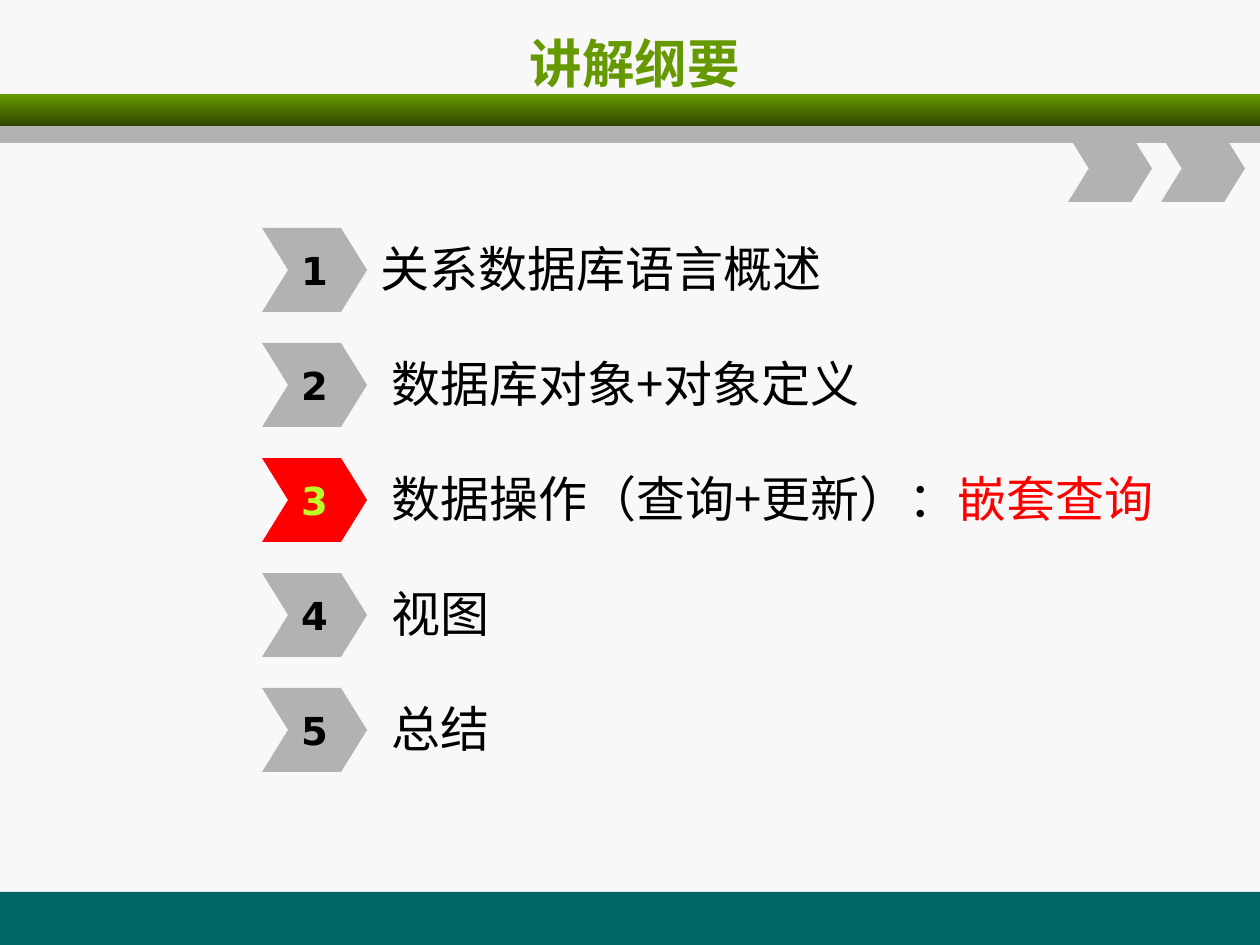
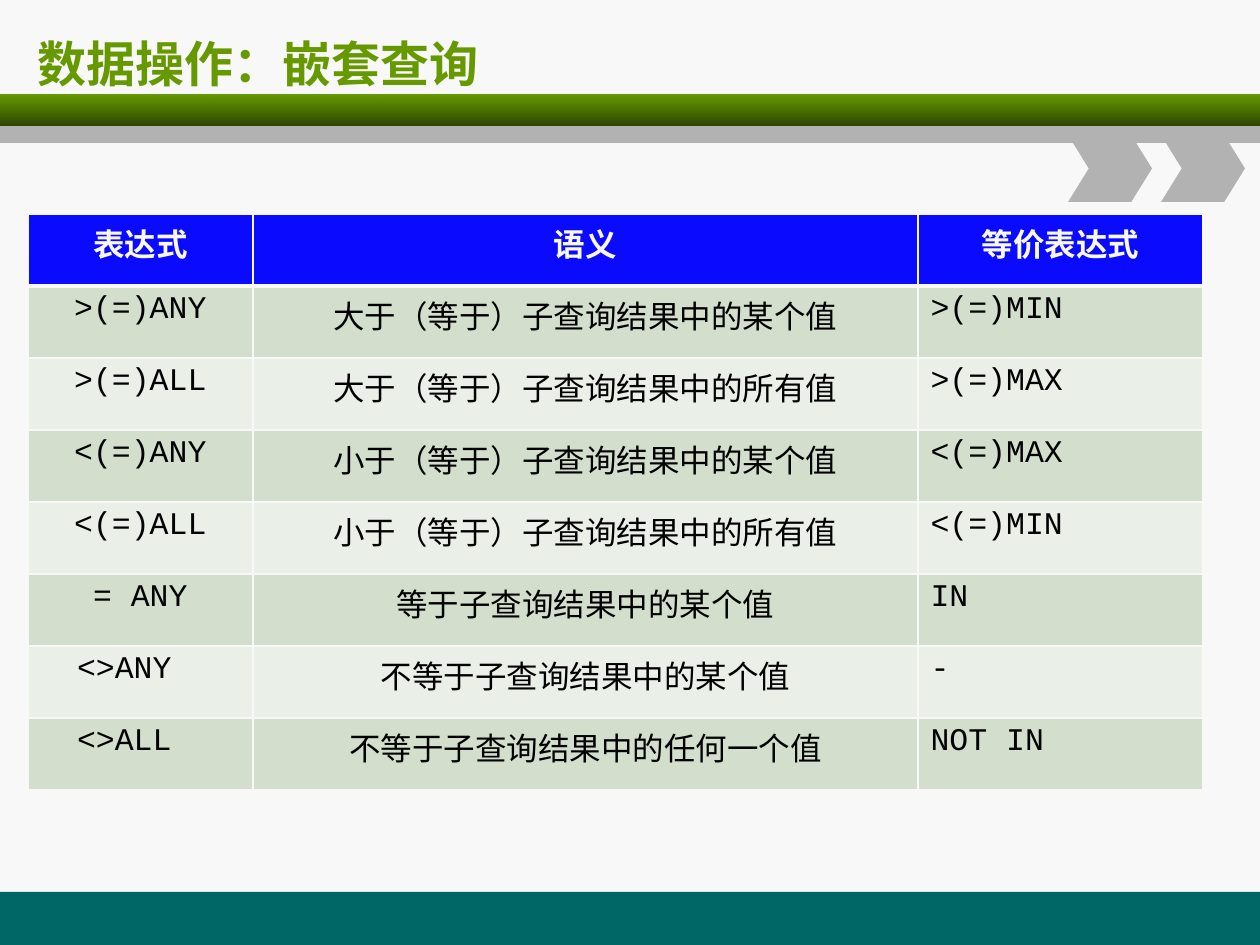
from dataclasses import dataclass

from lxml import etree
from pptx import Presentation
from pptx.dml.color import RGBColor
from pptx.enum.shapes import MSO_SHAPE
from pptx.enum.text import MSO_ANCHOR, PP_ALIGN
from pptx.oxml.ns import qn
from pptx.util import Emu, Pt

RECT, CHEVRON = MSO_SHAPE.RECTANGLE, MSO_SHAPE.CHEVRON
LEFT, CENTER = PP_ALIGN.LEFT, PP_ALIGN.CENTER
MIDDLE = MSO_ANCHOR.MIDDLE
EMU_PER_PX = 914400 / 126
SLIDE_W, SLIDE_H = 1260, 945
CJK, SANS, MONO = "Noto Sans CJK SC", "DejaVu Sans", "Courier New"
COLORS = {
    "paper": "F8F8F8", "green": "669900", "dark_green": "2F4700",
    "grey": "B2B2B2", "teal": "006666", "black": "000000",
    "red": "FF0000", "lime": "B8FF29", "header": "0A0AFF",
    "odd_row": "D3DECC", "even_row": "EAEFE7",
}


@dataclass(frozen=True)
class Box:
    left: int
    top: int
    width: int
    height: int

    def emu(self) -> tuple:
        return tuple(map(px, (self.left, self.top, self.width, self.height)))


@dataclass(frozen=True)
class TextStyle:
    size: int
    font: str
    color: str
    bold: bool = False


@dataclass(frozen=True)
class Band:
    kind: int
    box: Box
    color: str
    end_color: str = ""


@dataclass(frozen=True)
class AgendaItem:
    topic: str
    indent: int = 11
    focus: str = ""


@dataclass(frozen=True)
class Predicate:
    expression: str
    meaning: str
    equivalent: str
    shift: int = 0


BANDS = [
    Band(RECT, Box(0, 892, SLIDE_W, 53), "teal"),
    Band(RECT, Box(0, 94, SLIDE_W, 32), "green", "dark_green"),
    Band(RECT, Box(0, 126, SLIDE_W, 17), "grey"),
    *(Band(CHEVRON, Box(left, 135, 84, 67), "grey") for left in (1068, 1161)),
]
AGENDA = [
    AgendaItem("关系数据库语言概述", indent=0),
    AgendaItem("数据库对象+对象定义"),
    AgendaItem("数据操作（查询+更新）：", focus="嵌套查询"),
    AgendaItem("视图"),
    AgendaItem("总结"),
]
AGENDA_TOP, AGENDA_PITCH = 228, 115
HEADINGS = ("表达式", "语义", "等价表达式")
PREDICATES = [
    Predicate(">(=)ANY", "大于（等于）子查询结果中的某个值", ">(=)MIN"),
    Predicate(">(=)ALL", "大于（等于）子查询结果中的所有值", ">(=)MAX"),
    Predicate("<(=)ANY", "小于（等于）子查询结果中的某个值", "<(=)MAX"),
    Predicate("<(=)ALL", "小于（等于）子查询结果中的所有值", "<(=)MIN"),
    Predicate("= ANY", "等于子查询结果中的某个值", "IN"),
    Predicate("<>ANY", "不等于子查询结果中的某个值", "-", shift=32),
    Predicate("<>ALL", "不等于子查询结果中的任何一个值", "NOT IN", shift=32),
]
COLUMN_WIDTHS = (225, 665, 285)
ROW_HEIGHT = 72
CELL_MARGIN = 13


def px(length: int) -> Emu:
    return Emu(round(length * EMU_PER_PX))


def rgb(name: str) -> RGBColor:
    return RGBColor.from_string(COLORS[name])


def add_run(paragraph, text: str, style: TextStyle) -> None:
    run = paragraph.add_run()
    run.text = text
    font = run.font
    font.size, font.bold, font.name = Pt(style.size), style.bold, style.font
    font.color.rgb = rgb(style.color)
    east_asian = etree.Element(qn("a:ea"), typeface=CJK)
    run._r.get_or_add_rPr().find(qn("a:latin")).addnext(east_asian)


def add_plain_shape(slide, kind: int, box: Box, color: str):
    shape = slide.shapes.add_shape(kind, *box.emu())
    shape.shadow.inherit = False
    shape.fill.solid()
    shape.fill.fore_color.rgb = rgb(color)
    shape.line.fill.background()
    if kind == CHEVRON:
        shape.adjustments[0] = 0.31
    return shape


def dress_layout(layout, slide) -> None:
    """Draw the bands on a slide, then move them to the layout all slides share."""
    layout.background.fill.solid()
    layout.background.fill.fore_color.rgb = rgb("paper")
    for number, band in enumerate(BANDS):
        shape = add_plain_shape(slide, band.kind, band.box, band.color)
        if band.end_color:
            shape.fill.gradient()
            shape.fill.gradient_angle = 270
            for stop, color in zip(shape.fill.gradient_stops,
                                   (band.color, band.end_color)):
                stop.color.rgb = rgb(color)
        shape._element.nvSpPr.cNvPr.id = 100 + number
        layout.shapes._spTree.append(shape._element)


def set_title(slide, text: str, box: Box, style: TextStyle,
              alignment: int) -> None:
    title = slide.shapes.title
    title.left, title.top, title.width, title.height = box.emu()
    frame = title.text_frame
    frame.word_wrap = True
    frame.vertical_anchor = MIDDLE
    paragraph = frame.paragraphs[0]
    paragraph.alignment = alignment
    add_run(paragraph, text, style)


def add_agenda_item(slide, number: int, item: AgendaItem) -> None:
    top = AGENDA_TOP + (number - 1) * AGENDA_PITCH
    marker = add_plain_shape(slide, CHEVRON, Box(262, top, 105, 84),
                             "red" if item.focus else "grey")
    marker.text_frame.word_wrap = False
    marker.text_frame.vertical_anchor = MIDDLE
    digit = marker.text_frame.paragraphs[0]
    digit.alignment = CENTER
    add_run(digit, str(number),
            TextStyle(22, SANS, "lime" if item.focus else "black", True))

    label = slide.shapes.add_textbox(*Box(368, top + 3, 830, 73).emu())
    frame = label.text_frame
    frame.word_wrap = True
    frame.vertical_anchor = MIDDLE
    frame.margin_left = px(CELL_MARGIN + item.indent)
    paragraph = frame.paragraphs[0]
    add_run(paragraph, item.topic, TextStyle(28, CJK, "black"))
    if item.focus:
        add_run(paragraph, item.focus, TextStyle(28, CJK, "red"))


def set_borders(cell, top: int, bottom: int) -> None:
    properties = cell._tc.get_or_add_tcPr()
    for side, points in (("L", 1), ("R", 1), ("T", top), ("B", bottom)):
        line = etree.SubElement(properties, qn(f"a:ln{side}"), w=str(Pt(points)))
        fill = etree.SubElement(line, qn("a:solidFill"))
        etree.SubElement(fill, qn("a:srgbClr"), val=COLORS["paper"])


def fill_cell(cell, text: str, style: TextStyle, color: str,
              alignment: int) -> None:
    cell.fill.solid()
    cell.fill.fore_color.rgb = rgb(color)
    paragraph = cell.text_frame.paragraphs[0]
    paragraph.alignment = alignment
    add_run(paragraph, text, style)


def add_predicate_table(slide) -> None:
    row_count = len(PREDICATES) + 1
    box = Box(28, 214, sum(COLUMN_WIDTHS), row_count * ROW_HEIGHT)
    table = slide.shapes.add_table(
        row_count, len(COLUMN_WIDTHS), *box.emu()).table
    for column, width in zip(table.columns, COLUMN_WIDTHS):
        column.width = px(width)
    for row in table.rows:
        row.height = px(ROW_HEIGHT)

    heading_style = TextStyle(18, MONO, "paper", True)
    for column, heading in enumerate(HEADINGS):
        cell = table.cell(0, column)
        set_borders(cell, top=1, bottom=3)
        fill_cell(cell, heading, heading_style, "header", CENTER)

    body_style = TextStyle(18, MONO, "black")
    for row, predicate in enumerate(PREDICATES, start=1):
        color = "odd_row" if row % 2 else "even_row"
        texts = (predicate.expression, predicate.meaning, predicate.equivalent)
        for column, (text, alignment) in enumerate(
                zip(texts, (CENTER, CENTER, LEFT))):
            cell = table.cell(row, column)
            set_borders(cell, top=3 if row == 1 else 1, bottom=1)
            fill_cell(cell, text, body_style, color, alignment)
        table.cell(row, 0).margin_right = px(CELL_MARGIN + predicate.shift)


def main() -> None:
    deck = Presentation()
    deck.slide_width, deck.slide_height = px(SLIDE_W), px(SLIDE_H)
    layout = deck.slide_layouts[5]

    outline = deck.slides.add_slide(layout)
    dress_layout(layout, outline)
    set_title(outline, "讲解纲要", Box(68, 21, 1134, 84),
              TextStyle(30, CJK, "green", True), CENTER)
    for number, item in enumerate(AGENDA, start=1):
        add_agenda_item(outline, number, item)

    nested_query = deck.slides.add_slide(layout)
    set_title(nested_query, "数据操作：嵌套查询", Box(25, 21, 1203, 84),
              TextStyle(28, SANS, "green", True), LEFT)
    add_predicate_table(nested_query)
    deck.save("out.pptx")


if __name__ == "__main__":
    main()
